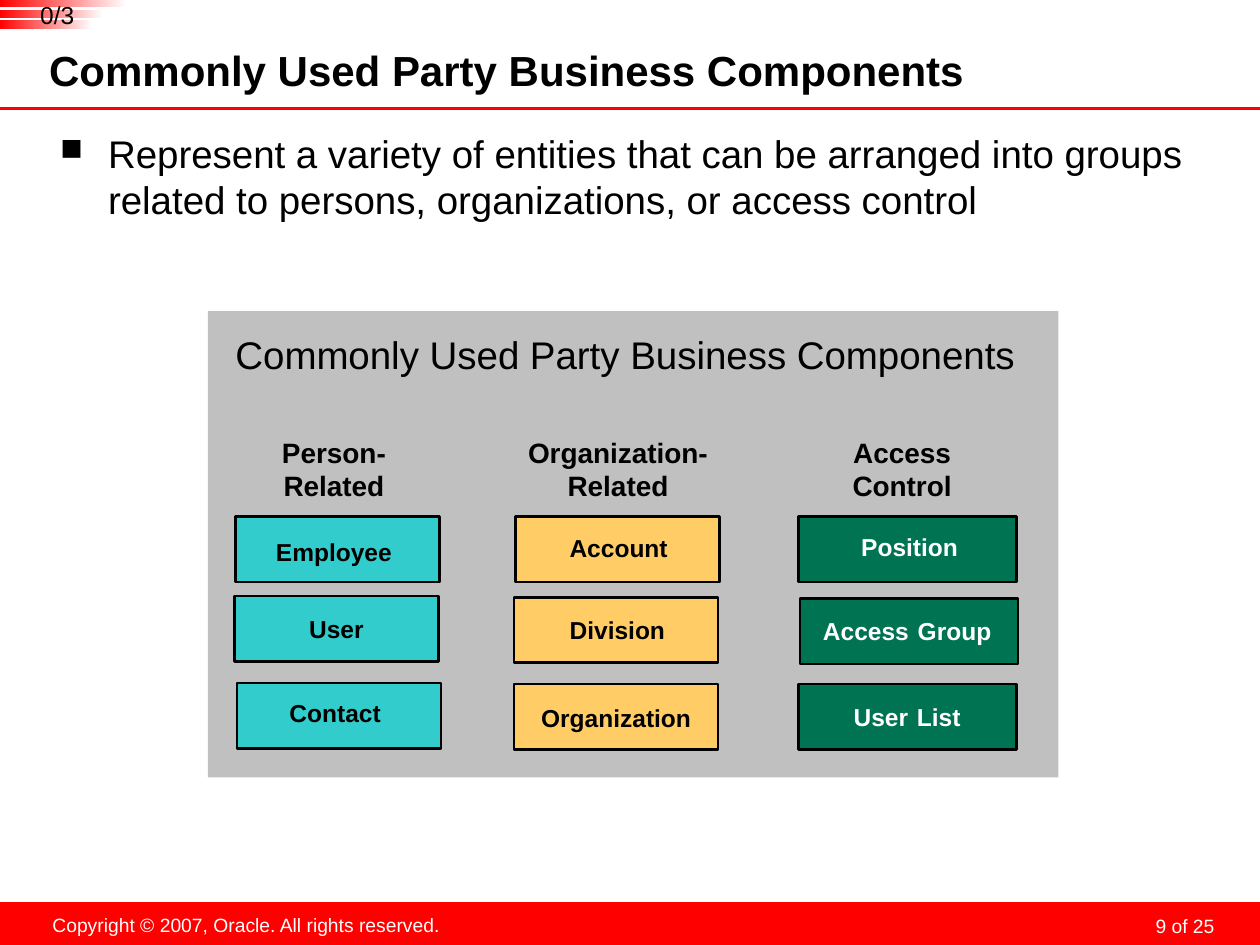
from lxml import etree
from pptx import Presentation
from pptx.dml.color import RGBColor
from pptx.enum.shapes import MSO_CONNECTOR, MSO_SHAPE
from pptx.enum.text import MSO_ANCHOR, PP_ALIGN
from pptx.oxml.ns import qn
from pptx.util import Inches, Pt

LEFT, CENTER, RIGHT = PP_ALIGN.LEFT, PP_ALIGN.CENTER, PP_ALIGN.RIGHT
TOP, MIDDLE = MSO_ANCHOR.TOP, MSO_ANCHOR.MIDDLE
RECTANGLE = MSO_SHAPE.RECTANGLE
STRAIGHT = MSO_CONNECTOR.STRAIGHT

RED = RGBColor(0xFF, 0x00, 0x00)
WHITE = RGBColor(0xFF, 0xFF, 0xFF)
BLACK = RGBColor(0x00, 0x00, 0x00)
GRAY = RGBColor(0xC0, 0xC0, 0xC0)
TEAL = RGBColor(0x33, 0xCC, 0xCC)
AMBER = RGBColor(0xFF, 0xCC, 0x66)
GREEN = RGBColor(0x00, 0x73, 0x52)

FONT = "Arial"
WIDTH, HEIGHT = 10, 7.5
BOX_HEIGHT = 0.52
LABEL_HEIGHT = 0.4
HEADING_TOP, HEADING_HEIGHT = 3.53, 0.33

# Heading with its left and width, colours, box width, then the entries:
# text, box left, box top, label centre x, label centre y
COLUMNS = [
    ("Person- Related", 1.84, 1.62, TEAL, BLACK, 1.62, [
        ("Employee", 1.87, 4.1, 2.65, 4.38),
        ("User", 1.86, 4.73, 2.67, 4.99),
        ("Contact", 1.88, 5.42, 2.66, 5.66)]),
    ("Organization-Related", 4.13, 1.55, AMBER, BLACK, 1.62, [
        ("Account", 4.09, 4.1, 4.91, 4.35),
        ("Division", 4.08, 4.74, 4.9, 5),
        ("Organization", 4.08, 5.43, 4.89, 5.7)]),
    ("Access Control", 6.34, 1.64, GREEN, WHITE, 1.73, [
        ("Position", 6.34, 4.1, 7.22, 4.34),
        ("Access Group", 6.35, 4.75, 7.2, 4.98),
        ("User List", 6.34, 5.43, 7.2, 5.67)]),
]


def add_bullet(paragraph, character, indent):
    """Give a paragraph a hanging bullet."""
    properties = paragraph._p.get_or_add_pPr()
    properties.set("marL", str(Inches(indent)))
    properties.set("indent", str(-Inches(indent)))
    etree.SubElement(properties, qn("a:buSzPct")).set("val", "80000")
    etree.SubElement(properties, qn("a:buChar")).set("char", character)


def add_text(slide, text, left, top, width, height, *, size, color=BLACK,
             bold=False, align=LEFT, anchor=TOP, insets=(0, 0, 0, 0),
             bullet=None, line_spacing=None, space_size=None):
    """Add a one-paragraph text box; space_size enlarges the word gaps."""
    shape = slide.shapes.add_textbox(
        Inches(left), Inches(top), Inches(width), Inches(height))
    frame = shape.text_frame
    frame.word_wrap = True
    frame.vertical_anchor = anchor
    (frame.margin_left, frame.margin_top,
     frame.margin_right, frame.margin_bottom) = map(Inches, insets)
    paragraph = frame.paragraphs[0]
    paragraph.alignment = align
    if line_spacing:
        paragraph.line_spacing = Pt(line_spacing)
    if bullet:
        add_bullet(paragraph, bullet, 0.38)
    for piece in text.partition(" ") if space_size else [text]:
        if not piece:
            continue
        run = paragraph.add_run()
        run.text = piece
        run.font.name = FONT
        run.font.size = Pt(space_size if piece == " " else size)
        run.font.bold = bold
        run.font.color.rgb = color


def add_rectangle(slide, left, top, width, height, fill, outlined=False):
    shape = slide.shapes.add_shape(
        RECTANGLE, Inches(left), Inches(top), Inches(width), Inches(height))
    shape.shadow.inherit = False
    shape.fill.solid()
    shape.fill.fore_color.rgb = fill
    if outlined:
        shape.line.color.rgb = BLACK
        shape.line.width = Pt(1.5)
    else:
        shape.line.fill.background()
    return shape


def add_fading_bar(slide, top, width, height):
    """Add a bar that fades from red to white, left to right."""
    fill = add_rectangle(slide, 0, top, width, height, RED).fill
    fill.gradient()
    fill.gradient_angle = 180
    for stop, color, position in zip(fill.gradient_stops, (WHITE, RED), (0, 1)):
        stop.color.rgb = color
        stop.position = position


def add_rule(slide, top):
    line = slide.shapes.add_connector(
        STRAIGHT, 0, Inches(top), Inches(WIDTH), Inches(top))
    line.line.color.rgb = RED
    line.line.width = Pt(1.75)
    etree.SubElement(line._element.spPr, qn("a:effectLst"))


def add_footer(slide):
    add_rectangle(slide, 0, 7.16, WIDTH, HEIGHT - 7.16, RED)
    add_text(slide, "9 of 25", 7.36, 7.19, 2.33, 0.25, size=11, color=WHITE,
             align=RIGHT, insets=(0.05, 0, 0.05, 0), line_spacing=18)
    add_text(slide, "Copyright © 2007, Oracle. All rights reserved.",
             0.31, 7.2, 3.29, 0.29, size=11, color=WHITE, align=CENTER,
             insets=(0, 0.05, 0, 0.05))


def add_column(slide, heading, left, width, fill, color, box_width, entries):
    add_text(slide, heading, left, HEADING_TOP, width, HEADING_HEIGHT, size=16,
             bold=True, align=CENTER, anchor=MIDDLE,
             insets=(0.05, 0.1, 0.05, 0.05))
    for text, box_left, box_top, center_x, center_y in entries:
        add_rectangle(slide, box_left, box_top, box_width, BOX_HEIGHT, fill,
                      outlined=True)
        add_text(slide, text, center_x - box_width / 2,
                 center_y - LABEL_HEIGHT / 2, box_width, LABEL_HEIGHT, size=14,
                 color=color, bold=True, align=CENTER, anchor=MIDDLE,
                 space_size=18)


def main():
    presentation = Presentation()
    presentation.slide_width = Inches(WIDTH)
    presentation.slide_height = Inches(HEIGHT)
    slide = presentation.slides.add_slide(presentation.slide_layouts[6])

    # Footer and heading
    add_footer(slide)
    add_rule(slide, 0.86)
    add_text(slide, "Commonly Used Party Business Components",
             0.39, 0.38, 7.87, 0.4, size=24, bold=True, anchor=MIDDLE,
             insets=(0, 0, 0.05, 0.05))
    add_text(slide, "Represent a variety of entities that can be arranged into "
             "groups related to persons, organizations, or access control",
             0.38, 0.93, 9.3, 6.16, size=22, bullet="■",
             insets=(0.1, 0.1, 0.1, 0.05))

    # Component panel
    add_rectangle(slide, 1.65, 2.47, 6.75, 3.7, GRAY)
    add_text(slide, "Commonly Used Party Business Components",
             1.77, 2.53, 6.42, 0.62, size=22, insets=(0.1, 0.1, 0.1, 0.05))
    for column in COLUMNS:
        add_column(slide, *column)

    # Corner counter
    for row, (width, height) in enumerate([(1.01, 0.06), (0.82, 0.06), (0.73, 0.07)]):
        add_fading_bar(slide, row * 0.08, width, height)
    add_text(slide, "0/3", 0.2, 0, 0.51, 0.23, size=14, align=CENTER)

    presentation.save("out.pptx")


if __name__ == "__main__":
    main()
